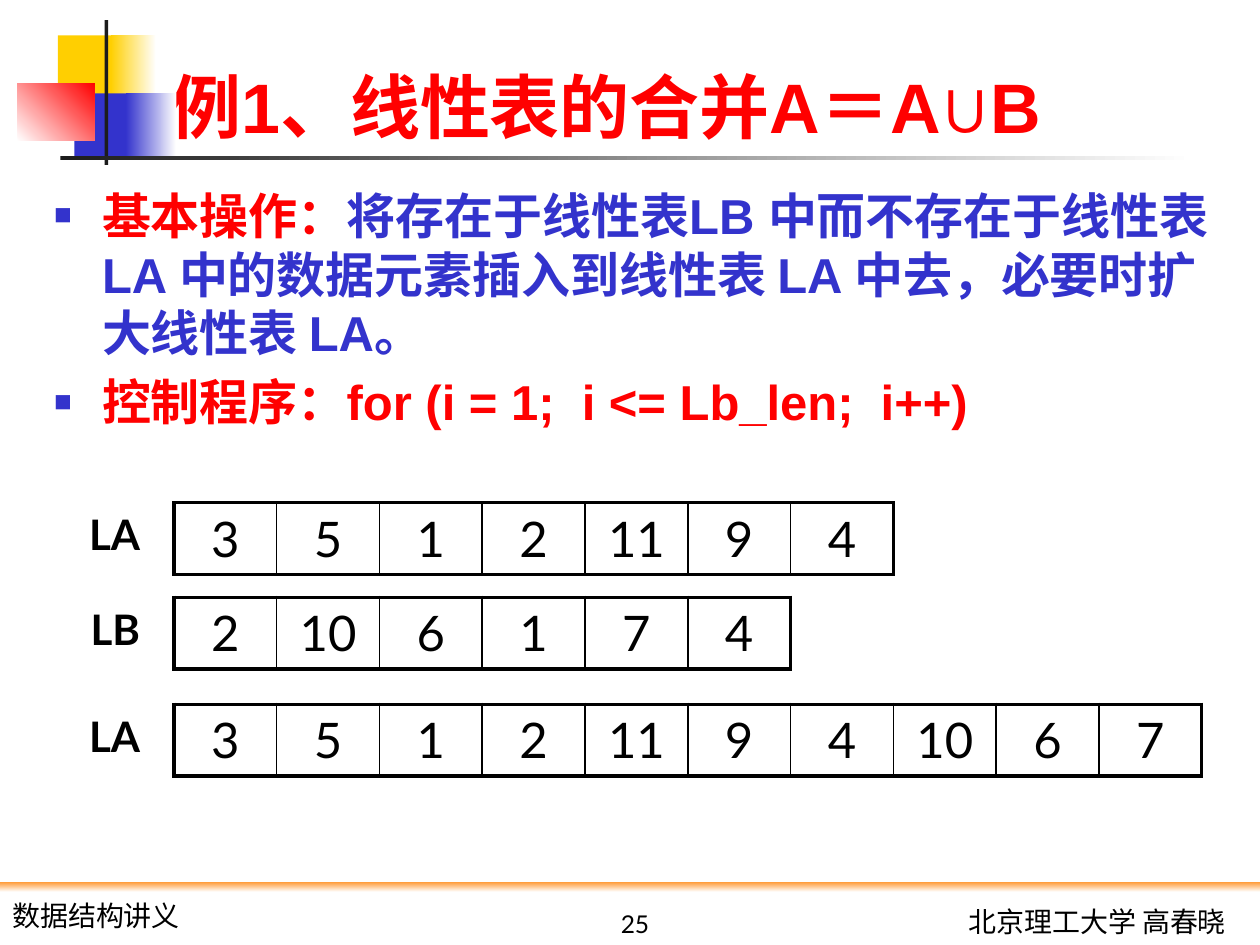
from lxml import etree
from pptx import Presentation, util as u
from pptx.dml import color
from pptx.enum import shapes, text
from pptx.oxml import ns

COLORS = {
    "yellow": "FFCF01", "blue": "3333CC", "red": "FF0000", "white": "FFFFFF",
    "dark": "1C1C1C", "orange": "FF9933", "black": "000000",
}
FORMATS = {
    "title": {"size": u.Pt(40), "name": "Arial", "bold": True},
    "body": {"size": u.Pt(28), "name": "Arial", "bold": True},
    "cell": {"size": u.Pt(28), "name": "Lato", "bold": False},
    "label": {"size": u.Pt(24), "name": "Lato", "bold": True},
    "footer": {"size": u.Pt(16), "name": "Lato", "bold": False},
    "number": {"size": u.Pt(14), "name": "Lato", "bold": False},
}
COLUMNS, ROWS = 100, 75
ALIGN = text.PP_ALIGN
ANCHOR = text.MSO_ANCHOR


def rgb(name):
    return color.RGBColor.from_string(COLORS[name])


def child(parent, tag, **attributes):
    return etree.SubElement(parent, ns.qn(tag), attributes)


class Page:
    """Draws on one slide; every box is left, top, width, height in grid units."""

    def __init__(self, deck):
        self.unit_x = deck.slide_width / COLUMNS
        self.unit_y = deck.slide_height / ROWS
        self.slide = deck.slides.add_slide(deck.slide_layouts[1])
        self.shapes = self.slide.shapes

    def place(self, left, top, width, height):
        return (int(left * self.unit_x), int(top * self.unit_y),
                int(width * self.unit_x), int(height * self.unit_y))

    def add_span(self, para, words, style, tint="black"):
        span = para.add_run()
        span.text = words
        for key, value in FORMATS[style].items():
            setattr(span.font, key, value)
        span.font.color.rgb = rgb(tint)

    def block(self, box, start, end=None, angle=0):
        """Rectangle, plain or fading from start to end (angle counter-clockwise)."""
        block = self.shapes.add_shape(shapes.MSO_SHAPE.RECTANGLE, *self.place(*box))
        block.shadow.inherit = False
        block.line.fill.background()
        if end is None:
            block.fill.solid()
            block.fill.fore_color.rgb = rgb(start)
            return
        block.fill.gradient()
        block.fill.gradient_angle = angle
        for stop, tint in zip(block.fill.gradient_stops, (start, end)):
            stop.color.rgb = rgb(tint)

    def label(self, box, words, style, align, anchor=ANCHOR.TOP):
        frame = self.shapes.add_textbox(*self.place(*box)).text_frame
        frame.word_wrap = True
        frame.vertical_anchor = anchor
        frame.paragraphs[0].alignment = align
        self.add_span(frame.paragraphs[0], words, style)

    def fill_placeholder(self, holder, box, anchor):
        holder.left, holder.top, holder.width, holder.height = self.place(*box)
        frame = holder.text_frame
        frame.auto_size = text.MSO_AUTO_SIZE.NONE
        frame.vertical_anchor = anchor
        return frame

    def title(self, box, words):
        frame = self.fill_placeholder(self.shapes.title, box, ANCHOR.BOTTOM)
        frame.paragraphs[0].alignment = ALIGN.LEFT
        self.add_span(frame.paragraphs[0], words, "title", "red")

    def bullets(self, box, items):
        frame = self.fill_placeholder(self.slide.placeholders[1], box, ANCHOR.TOP)
        for index, spans in enumerate(items):
            para = frame.add_paragraph() if index else frame.paragraphs[0]
            props = para._p.get_or_add_pPr()
            props.set("marL", str(u.Inches(0.38)))
            props.set("indent", str(-u.Inches(0.38)))
            child(child(props, "a:buClr"), "a:srgbClr", val=COLORS["blue"])
            child(props, "a:buSzPct", val="60000")
            child(props, "a:buFont", typeface="Arial")
            child(props, "a:buChar", char="■")
            for words, tint in spans:
                self.add_span(para, words, "body", tint)

    def array(self, left, top, cell_width, height, values):
        """One-row table with a heavy frame and thin inner lines."""
        count = len(values)
        box = self.place(left, top, cell_width * count, height)
        table = self.shapes.add_table(1, count, *box).table
        table.first_row = table.horz_banding = False
        for index, value in enumerate(values):
            cell = table.cell(0, index)
            cell.fill.background()
            para = cell.text_frame.paragraphs[0]
            para.alignment = ALIGN.CENTER
            para.space_before = u.Pt(1)
            self.add_span(para, str(value), "cell")
            self.borders(cell, {
                "a:lnL": 1 if index else 2.25,
                "a:lnR": 1 if index < count - 1 else 2.25,
                "a:lnT": 2.25,
                "a:lnB": 2.25,
            })

    def borders(self, cell, widths):
        props = cell._tc.get_or_add_tcPr()
        for order, (tag, width) in enumerate(widths.items()):
            line = child(props, tag, w=str(u.Pt(width)))
            child(child(line, "a:solidFill"), "a:srgbClr", val=COLORS["black"])
            props.insert(order, line)


def main():
    deck = Presentation()
    deck.slide_width, deck.slide_height = u.Inches(10), u.Inches(7.5)
    page = Page(deck)

    page.block((4.6, 2.8, 4.8, 5.2), "yellow")
    page.block((8.8, 2.8, 3.6, 5.2), "yellow", "white")
    page.block((5.9, 7.4, 4.6, 5.2), "blue")
    page.block((10, 7.4, 4, 5.2), "blue", "white")
    page.block((1.4, 6.6, 6.1, 4.6), "white", "red", 45)
    page.block((8.3, 1.6, 0.3, 11.5), "dark")
    page.block((4.8, 12.4, 90, 0.3), "dark", "white")
    page.block((0, 70, 100, 0.8), "orange", "white", 270)

    page.label((73.3, 71.3, 25, 3.7), "北京理工大学 高春晓", "footer", ALIGN.RIGHT)
    page.label((0, 70.8, 17.5, 3.7), "数据结构讲义", "footer", ALIGN.LEFT)
    page.label((40, 70, 20.8, 5), "25", "number", ALIGN.CENTER, ANCHOR.BOTTOM)

    page.title((12.6, 1.3, 85.2, 10.9), "例1、线性表的合并A＝A∪B")
    page.bullets((3.3, 14.2, 94.6, 55), [
        [("基本操作：", "red"),
         ("将存在于线性表LB 中而不存在于线性表 LA 中的数据元素插入到线性表 LA 中去，"
          "必要时扩大线性表 LA。", "blue")],
        [("控制程序：for (i = 1;  i <= Lb_len;  i++)", "red")],
    ])

    list_a = [3, 5, 1, 2, 11, 9, 4]
    list_b = [2, 10, 6, 1, 7, 4]
    union = list_a + [value for value in list_b if value not in list_a]
    for name, top, values in (("LA", 39.9, list_a), ("LB", 47.4, list_b),
                              ("LA", 55.9, union)):
        page.label((3.8, top, 8.3, 5), name, "label", ALIGN.RIGHT)
        page.array(13.8, top, 8.16, 5.7, values)

    deck.save("out.pptx")


if __name__ == "__main__":
    main()
